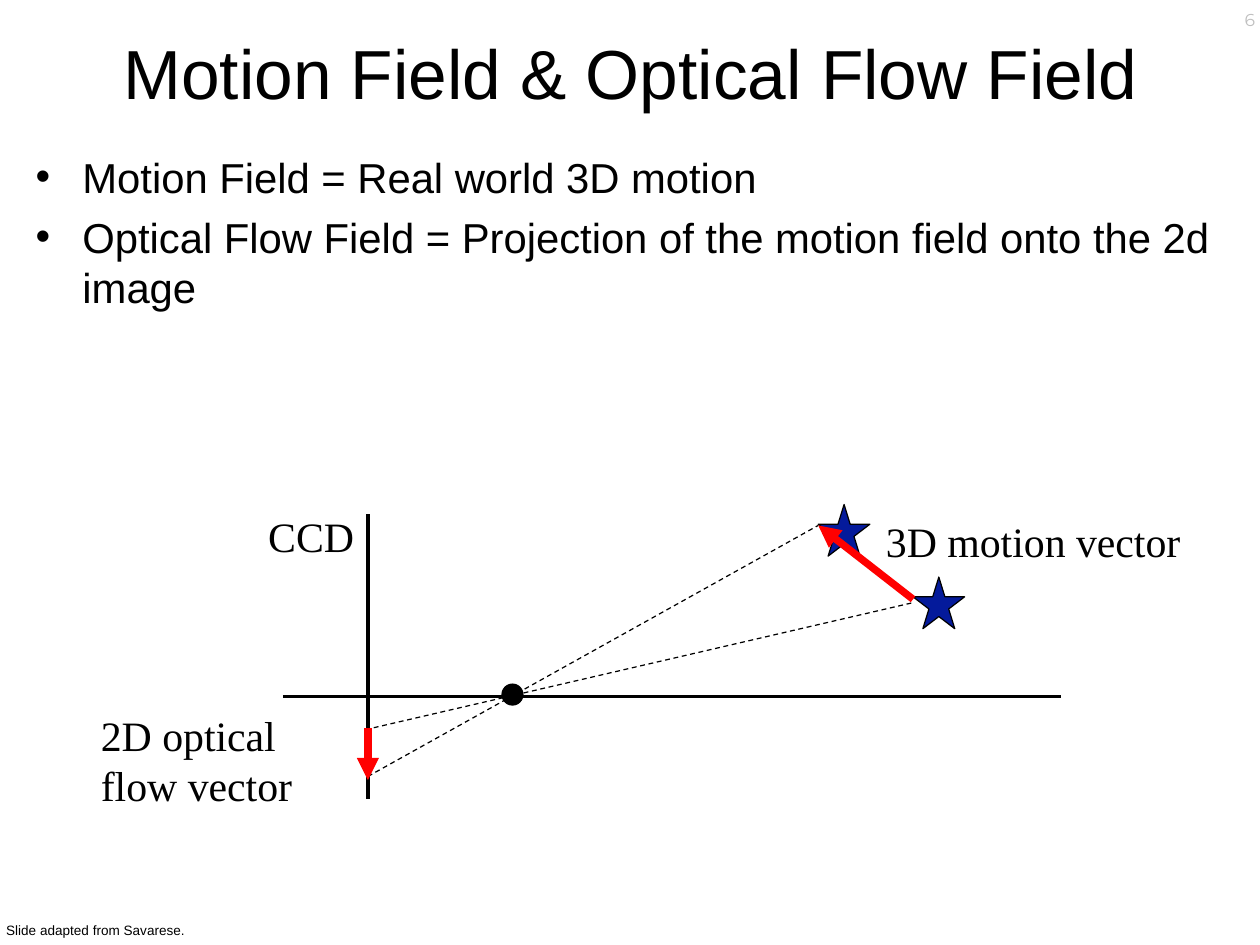
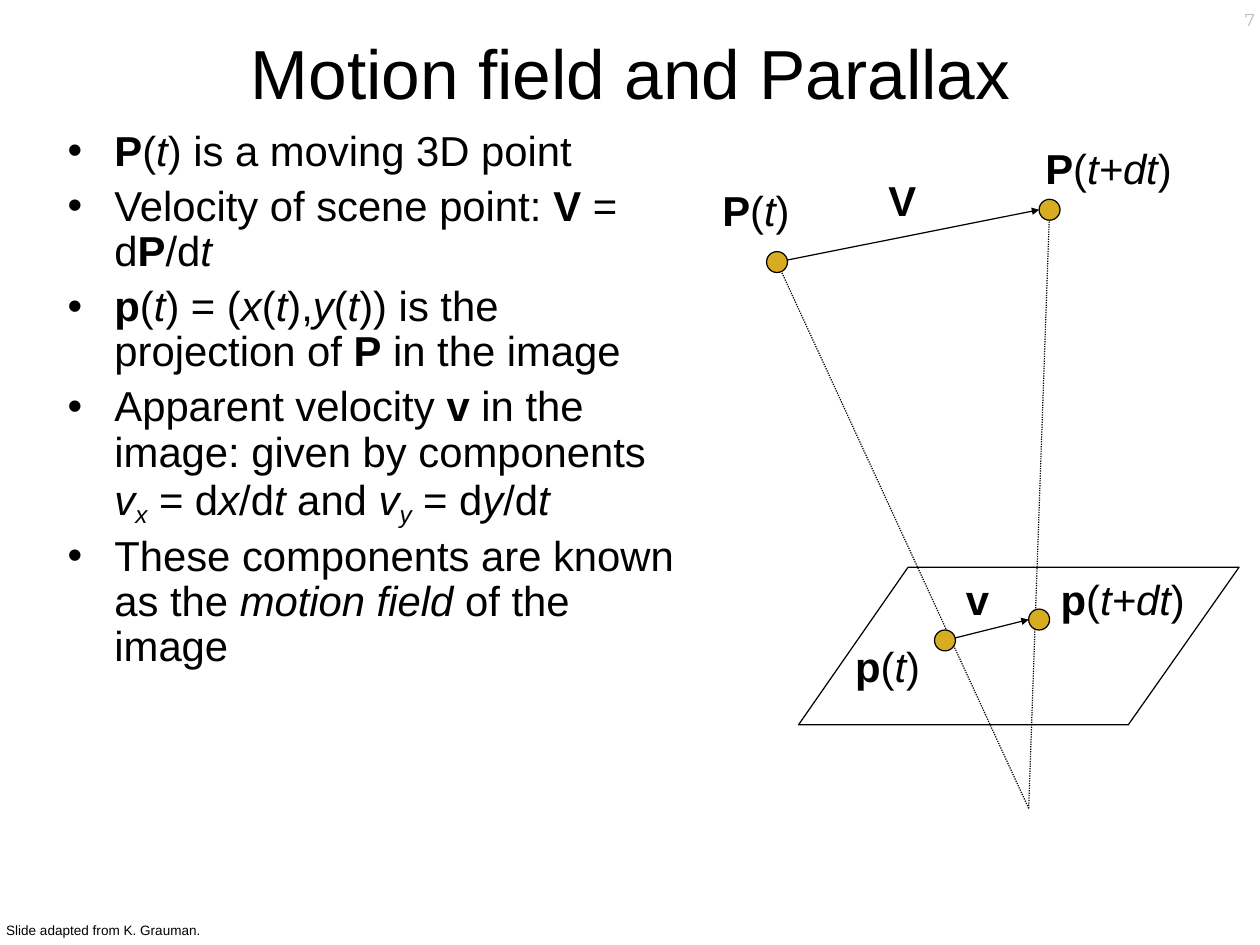
from itertools import groupby

from lxml.etree import SubElement as Sub
from pptx import Presentation as Deck
from pptx.dml.color import RGBColor as Rgb
from pptx.enum.dml import MSO_LINE as Dash
from pptx.enum.shapes import MSO_CONNECTOR as Wire, MSO_SHAPE as Geo
from pptx.enum.text import MSO_ANCHOR as Anchor, PP_ALIGN as Align
from pptx.oxml.ns import qn
from pptx.util import Pt

BLACK, RED, BLUE, GOLD, GREY = "000000", "FF0000", "041A9B", "D8AC21", "BFBFBF"
SANS, SERIF, LIGHT = "Arial", "Times New Roman", "Montserrat"
MARKS = "*_~"


def hue(code):
    return Rgb.from_string(code)


def put(item, vals):
    for name, val in vals.items():
        setattr(item, name, val)


def split(text):
    on, marked = frozenset(), []
    for char in text:
        if char in MARKS:
            on ^= {char}
        else:
            marked.append((on, char))
    for style, group in groupby(marked, key=lambda pair: pair[0]):
        yield style, "".join(char for _, char in group)


class Page:
    inset = {"margin_" + side: Pt(5) for side in ("left", "right", "top", "bottom")}

    def __init__(self, deck):
        self.shapes = deck.slides.add_slide(deck.slide_layouts[6]).shapes

    def runs(self, par, text, size, font, color):
        for style, part in split(text):
            run = par.add_run()
            run.text = part
            put(run.font, {"size": Pt(size), "name": font,
                           "bold": "*" in style, "italic": "_" in style})
            run.font.color.rgb = hue(color)
            if "~" in style:
                run._r.get_or_add_rPr().set("baseline", "-19000")

    def frame(self, box, wrap=True, anchor=Anchor.TOP):
        frame = self.shapes.add_textbox(*map(Pt, box)).text_frame
        put(frame, {**self.inset, "word_wrap": wrap, "vertical_anchor": anchor})
        return frame

    def label(self, box, text, size=34, font=SANS, color=BLACK,
              align=Align.LEFT, wrap=False, anchor=Anchor.TOP):
        par = self.frame(box, wrap, anchor).paragraphs[0]
        par.alignment = align
        self.runs(par, text, size, font, color)

    def title(self, text):
        self.label((24, 19, 977, 78), text, 56.4, align=Align.CENTER,
                   wrap=True, anchor=Anchor.MIDDLE)

    def list(self, box, items, pitch=1.0):
        frame = self.frame(box)
        for spot, text in enumerate(items):
            par = frame.add_paragraph() if spot else frame.paragraphs[0]
            props = par._p.get_or_add_pPr()
            props.set("marL", str(Pt(38)))
            props.set("indent", str(-Pt(38)))
            Sub(props, qn("a:buFont")).set("typeface", SANS)
            Sub(props, qn("a:buChar")).set("char", "•")
            put(par, {"line_spacing": pitch, "space_before": Pt(8 if spot else 0)})
            self.runs(par, text, 34, SANS, BLACK)

    def edge(self, shape, fill=None):
        shape.shadow.inherit = False
        if fill:
            shape.fill.solid()
            shape.fill.fore_color.rgb = hue(fill)
        else:
            shape.fill.background()
        shape.line.color.rgb = hue(BLACK)
        shape.line.width = Pt(1)

    def shape(self, kind, box, fill):
        self.edge(self.shapes.add_shape(kind, *map(Pt, box)), fill)

    def dot(self, spot, fill):
        x, y = spot
        self.shape(Geo.OVAL, (x - 8.5, y - 8.5, 17, 17), fill)

    def star(self, x, y):
        self.shape(Geo.STAR_5_POINT, (x, y, 42, 42), BLUE)

    def plane(self, spots):
        first, *rest = [tuple(map(Pt, spot)) for spot in spots]
        shape = self.shapes.build_freeform(*first)
        shape.add_line_segments(rest, close=True)
        self.edge(shape.convert_to_shape())

    def line(self, start, end, width=1, color=BLACK, dash=None, head=False):
        wire = self.shapes.add_connector(Wire.STRAIGHT, *map(Pt, (*start, *end)))
        wire.line.color.rgb = hue(color)
        put(wire.line, {"width": Pt(width), "dash_style": dash})
        if head:
            Sub(wire.line._get_or_add_ln(), qn("a:tailEnd")).set("type", "triangle")
        Sub(wire._element.spPr, qn("a:effectLst"))

    def foot(self, credit, width, number):
        self.label((0, 744.5, width, 23), credit, 11)
        self.label((1004, 1, 21, 30), str(number), 14, LIGHT, GREY,
                   Align.RIGHT, anchor=Anchor.MIDDLE)


def flow(deck):
    page = Page(deck)
    page.title("Motion Field & Optical Flow Field")
    page.list((24, 118, 977, 591), [
        "Motion Field = Real world 3D motion",
        "Optical Flow Field = Projection of the motion field onto the 2d image",
    ])
    page.star(665, 410)
    page.line((299, 418), (299, 649), 3)
    page.line((230, 566), (862, 566), 3)
    page.star(742, 469)
    page.line((742, 487), (665, 427), 6, RED, head=True)
    page.dot((416.5, 564.5), BLACK)
    for start, end in (((299, 631), (665, 427)), ((297, 593), (741, 490))):
        page.line(start, end, dash=Dash.DASH)
    page.line((299, 592), (299, 634), 6, RED, head=True)
    page.label((715, 414, 251, 47), "3D motion vector", font=SERIF)
    page.label((77, 572, 213, 85), "2D optical flow vector", font=SERIF, wrap=True)
    page.label((213, 410, 81, 47), "CCD", font=SERIF)
    page.foot("Slide adapted from Savarese.", 156, 6)


def shift(deck):
    page = Page(deck)
    page.title("Motion field and Parallax")
    page.list((50, 101, 503, 640), [
        "*P*(_t_) is a moving 3D point",
        "Velocity of scene point: *V* = d*P*/d_t_",
        "*p*(_t_) = (_x_(_t_),_y_(_t_)) is the projection of *P* in the image",
        "Apparent velocity *v *in the image: given by components "
        "_v~x~_ = d_x_/d_t_ and _v~y~_ = d_y_/d_t_",
        "These components are known as the _motion field_ of the image",
    ], 0.9)
    eye = (836, 657)
    scene = (631.5, 213), (853, 170.5)
    image = (768, 520.5), (844.5, 503.5)
    for spot in scene:
        page.line(eye, spot, dash=Dash.ROUND_DOT)
    page.plane([(649, 589), (738, 461), (1007, 461), (917, 589)])
    for start, end in (scene, image):
        page.line(start, (end[0] - 8.5, end[1]), head=True)
        page.dot(start, GOLD)
        page.dot(end, GOLD)
    for x, y, width, text in (
        (690, 516, 64, "*p*(_t_)"),
        (857, 461, 112, "*p*(_t+dt_)"),
        (582, 145, 66, "*P*(_t_)"),
        (844.5, 111, 114.5, "*P*(_t+dt_)"),
        (717, 137, 34, "*V*"),
        (780, 461, 30, "*v*"),
    ):
        page.label((x, y, width, 48), text)
    page.foot("Slide adapted from K. Grauman.", 169, 7)


def main():
    deck = Deck()
    put(deck, {"slide_width": Pt(1024), "slide_height": Pt(768)})
    flow(deck)
    shift(deck)
    deck.save("out.pptx")


if __name__ == "__main__":
    main()
